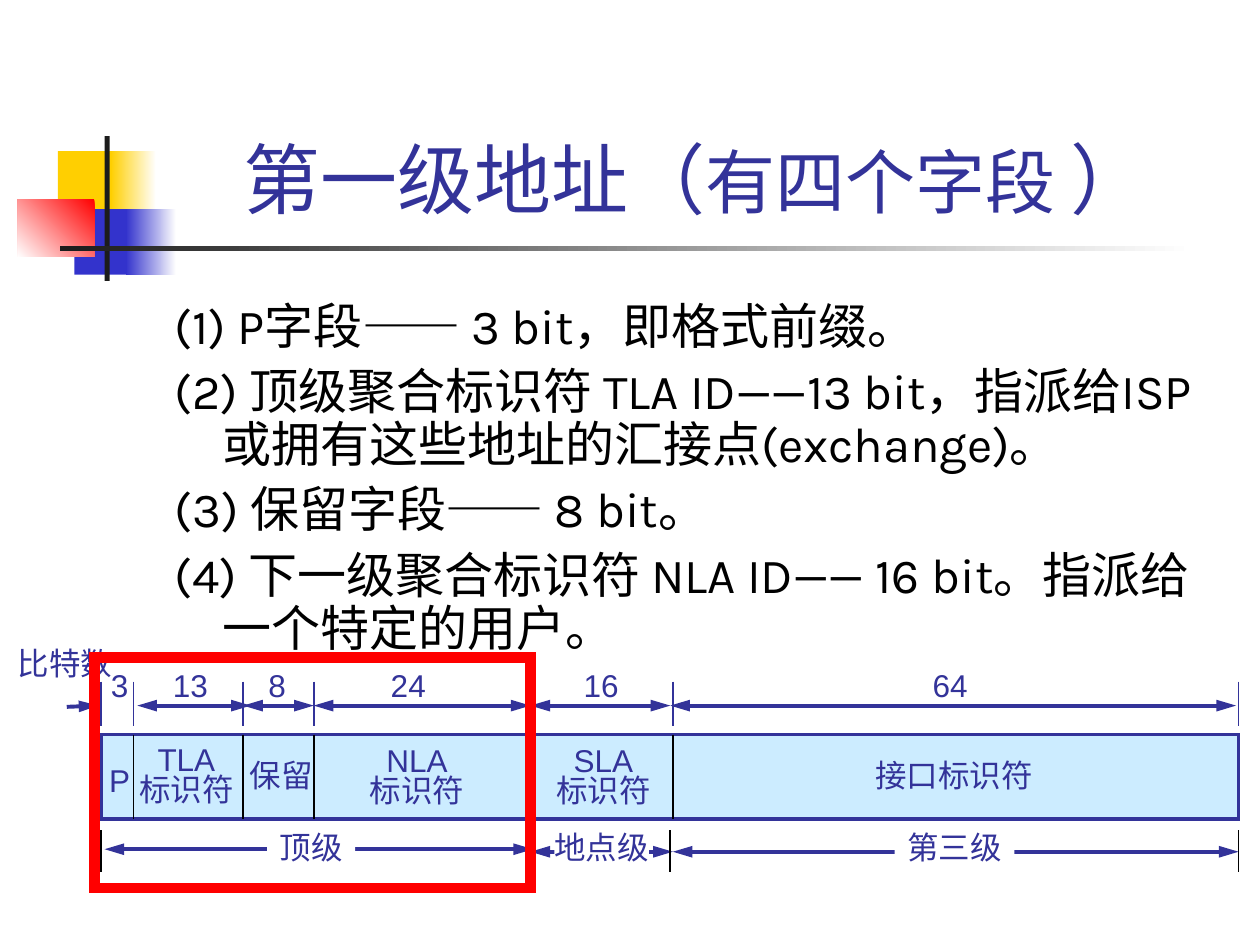
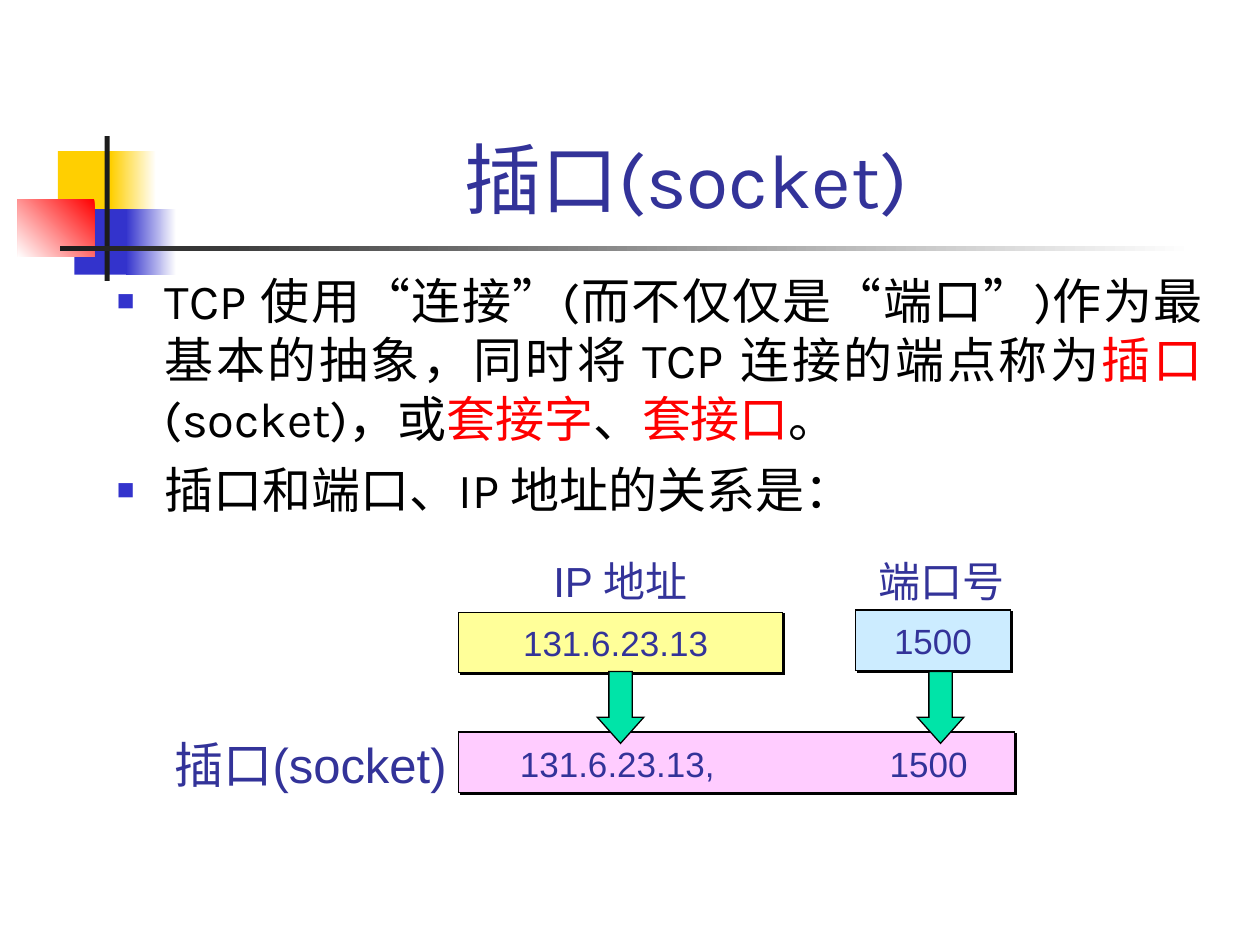
import pptx
import pptx.util
import pptx.dml.color
import pptx.enum.lang
import pptx.enum.shapes
import pptx.enum.text
import pptx.oxml
import pptx.oxml.ns
from lxml import etree

Inches, Pt = pptx.util.Inches, pptx.util.Pt
SHAPE = pptx.enum.shapes.MSO_SHAPE
ALIGN = pptx.enum.text.PP_ALIGN
ANCHOR = pptx.enum.text.MSO_ANCHOR
qn = pptx.oxml.ns.qn

INDIGO, BLUE, YELLOW, RED = "333399", "3333CC", "FFCF01", "FF0000"
BLACK, WHITE, CHARCOAL, SKY = "000000", "FFFFFF", "1C1C1C", "CCECFF"
HEADING_FONT, LABEL_FONT = "Karla", "Arial"

# Corner ornament: box, then one colour or (start colour, end colour, angle)
ORNAMENT = [
    ((0.46, 1.2, 0.48, 0.52), YELLOW),
    ((0.88, 1.2, 0.36, 0.52), (WHITE, YELLOW, 180)),
    ((0.59, 1.66, 0.46, 0.52), BLUE),
    ((1, 1.66, 0.4, 0.52), (WHITE, BLUE, 180)),
    ((0.14, 1.58, 0.61, 0.46), (RED, WHITE, 225)),
    ((0.83, 1.08, 0.04, 1.15), CHARCOAL),
    ((0.48, 1.95, 9, 0.04), (WHITE, CHARCOAL, 180)),
]
TITLE_BOX = (1.26, 0.23, 8.52, 1.6)

# A paragraph is a list of (text, colour, size) runs.
ADDRESS_TITLE = [("第一级地址（", INDIGO, 44), ("有四个字段 ", INDIGO, 40), ("）", INDIGO, 44)]
ADDRESS_POINTS = [
    "(1) P字段—— 3 bit，即格式前缀。",
    "(2) 顶级聚合标识符 TLA ID——13 bit，指派给ISP 或拥有这些地址的汇接点(exchange)。",
    "(3) 保留字段—— 8 bit。",
    "(4) 下一级聚合标识符 NLA ID—— 16 bit。指派给一个特定的用户。",
]
# bits, bits centre, name lines, name centre, name top
FIELDS = [
    ("3", 0.95, ["P"], 0.95, 5.99),
    ("13", 1.51, ["TLA", "标识符"], 1.48, 5.88),
    ("8", 2.2, ["保留"], 2.23, 5.95),
    ("24", 3.24, ["NLA", "标识符"], 3.31, 5.89),
    ("16", 4.77, ["SLA", "标识符"], 4.79, 5.89),
    ("64", 7.54, ["接口标识符"], 7.57, 5.95),
]
FIELD_EDGES = [0.8, 1.06, 1.93, 2.49, 4.21, 5.34, 9.83]
BIT_ARROWS = [(1.09, 1.99), (1.93, 2.49), (2.49, 4.21), (4.21, 5.32), (5.32, 9.81)]
# name, label left, label width, arrow start, arrow end, arrow height
LEVELS = [
    ("顶级", 2.12, 0.7, 0.83, 4.23, 6.74),
    ("地点级", 4.4, 0.75, 4.21, 5.34, 6.76),
    ("第三级", 7.1, 0.95, 5.34, 9.83, 6.76),
]
LEVEL_EDGES = [0.8, 4.19, 5.32, 9.83]

SOCKET_TITLE = [("插口(socket) ", INDIGO, 44)]
SOCKET_POINTS = [
    [("TCP 使用“连接”(而不仅仅是“端口”)作为最基本的抽象，同时将 TCP 连接的端点称为", BLACK, 28),
     ("插口", RED, 28), ("(socket)，或", BLACK, 28), ("套接字", RED, 28),
     ("、", BLACK, 28), ("套接口", RED, 28), ("。", BLACK, 28)],
    [("插口和端口、IP 地址的关系是：", BLACK, 28)],
]
SOCKET_BOXES = [
    ((3.64, 4.86, 2.57, 0.48), "FFFF99", "131.6.23.13 "),
    ((6.79, 4.84, 1.23, 0.48), SKY, "1500"),
    ((3.64, 5.81, 4.41, 0.48), "FFCCFF", ""),
]
# text, box, size
SOCKET_LABELS = [
    ("IP 地址", (4.25, 4.36, 1.35, 0.5), 24),
    ("端口号", (6.87, 4.36, 1.2, 0.5), 24),
    ("插口(socket)", (1.24, 5.78, 2.45, 0.57), 28),
    ("131.6.23.13,", (4, 5.84, 1.8, 0.43), 20),
    ("1500", (6.87, 5.84, 1, 0.43), 20),
]
ARROW_LEFTS = [4.74, 7.28]


def rgb(color):
    return pptx.dml.color.RGBColor.from_string(color)


def add_xml(parent, tag, **attributes):
    return etree.SubElement(parent, qn(tag), attributes)


def write(frame, paragraphs, font, align, wrap=True, anchor=ANCHOR.TOP):
    """Fill a text frame with paragraphs made of (text, colour, size) runs."""
    frame.word_wrap = wrap
    frame.vertical_anchor = anchor
    for index, runs in enumerate(paragraphs):
        paragraph = frame.add_paragraph() if index else frame.paragraphs[0]
        paragraph.alignment = align
        for text, color, size in runs:
            run = paragraph.add_run()
            run.text = text
            run.font.name = font
            run.font.size = Pt(size)
            run.font.color.rgb = rgb(color)
            run.font.language_id = pptx.enum.lang.MSO_LANGUAGE_ID.SIMPLIFIED_CHINESE


def add_text(slide, box, paragraphs, font, align, **layout):
    frame = slide.shapes.add_textbox(*map(Inches, box)).text_frame
    write(frame, paragraphs, font, align, **layout)
    return frame


def add_label(slide, box, lines, size=18):
    runs = [[(line, INDIGO, size)] for line in lines]
    return add_text(slide, box, runs, LABEL_FONT, ALIGN.CENTER, wrap=False)


def add_centered_label(slide, center, top, lines):
    """Place a label whose width follows its longest line."""
    width = 0.25 * max(map(len, lines)) + 0.25
    return add_label(slide, (center - width / 2, top, width, 0.4), lines)


def add_block(slide, box, fill=None, line=None, width=0.75, kind=SHAPE.RECTANGLE):
    block = slide.shapes.add_shape(kind, *map(Inches, box))
    block.shadow.inherit = False
    if fill is None:
        block.fill.background()
    elif isinstance(fill, str):
        block.fill.solid()
        block.fill.fore_color.rgb = rgb(fill)
    else:
        start, end, angle = fill
        block.fill.gradient()
        block.fill.gradient_angle = angle
        for stop, color in zip(block.fill.gradient_stops, (start, end)):
            stop.color.rgb = rgb(color)
    if line:
        block.line.color.rgb = rgb(line)
        block.line.width = Pt(width)
        add_xml(block._element.spPr.find(qn("a:ln")), "a:miter", lim="800000")
    else:
        block.line.fill.background()
    return block


def add_line(slide, start, end, color, width=1, heads=()):
    """Draw a straight line; heads lists the ends that carry an arrowhead."""
    line = slide.shapes.add_connector(
        pptx.enum.shapes.MSO_CONNECTOR.STRAIGHT, *map(Inches, start + end))
    line.line.color.rgb = rgb(color)
    line.line.width = Pt(width)
    properties = line._element.spPr
    for head in heads:
        add_xml(properties.find(qn("a:ln")), head, type="triangle", w="med", len="lg")
    add_xml(properties, "a:effectLst")


def add_arrow(slide, start, end, heads=("a:headEnd", "a:tailEnd")):
    add_line(slide, start, end, INDIGO, 2.25, heads)


def add_ticks(slide, edges, top, bottom, color):
    for edge in edges:
        add_line(slide, (edge, top), (edge, bottom), color)


def format_points(frame, line_spacing=None, bullet=False):
    for paragraph in frame.paragraphs:
        paragraph.space_before = Pt(7)
        if line_spacing:
            paragraph.line_spacing = line_spacing
        properties = paragraph._p.get_or_add_pPr()
        properties.set("marL", str(Inches(0.38)))
        properties.set("indent", str(-Inches(0.38)))
        if bullet:
            add_xml(add_xml(properties, "a:buClr"), "a:srgbClr", val=BLUE)
            add_xml(properties, "a:buSzPct", val="60000")
            add_xml(properties, "a:buFont", typeface=LABEL_FONT)
            add_xml(properties, "a:buChar", char="■")


def add_base_slide(deck, title):
    slide = deck.slides.add_slide(deck.slide_layouts[6])
    for box, fill in ORNAMENT:
        add_block(slide, box, fill)
    add_text(slide, TITLE_BOX, [title], HEADING_FONT, ALIGN.CENTER, anchor=ANCHOR.BOTTOM)
    return slide


def build_address_slide(deck):
    slide = add_base_slide(deck, ADDRESS_TITLE)
    points = add_text(slide, (1.29, 2.35, 8.5, 3),
                      [[(point, BLACK, 28)] for point in ADDRESS_POINTS],
                      HEADING_FONT, ALIGN.LEFT)
    format_points(points, line_spacing=0.9)

    left, right = FIELD_EDGES[0], FIELD_EDGES[-1]
    add_block(slide, (left, 5.83, right - left, 0.67), SKY, INDIGO, 2)
    for bits, bits_center, name, name_center, top in FIELDS:
        add_centered_label(slide, bits_center, 5.24, [bits])
        label = add_centered_label(slide, name_center, top, name)
        if len(name) > 1:
            for paragraph in label.paragraphs:
                paragraph.line_spacing = 0.8
    add_ticks(slide, FIELD_EDGES[1:-1], 5.83, 6.5, BLACK)
    add_ticks(slide, FIELD_EDGES, 5.41, 5.76, INDIGO)

    for name, label_left, label_width, start, end, height in LEVELS:
        add_arrow(slide, (start, height), (end, height))
        label = add_block(slide, (label_left, 6.52, label_width, 0.4), WHITE)
        write(label.text_frame, [[(name, INDIGO, 18)]], LABEL_FONT, ALIGN.CENTER, wrap=False)
    add_ticks(slide, LEVEL_EDGES, 6.59, 6.92, BLACK)

    add_label(slide, (0.04, 5.06, 0.95, 0.4), ["比特数"])
    for start, end in BIT_ARROWS:
        add_arrow(slide, (start, 5.6), (end, 5.6))
    add_arrow(slide, (0.53, 5.61), (0.78, 5.6), heads=("a:tailEnd",))
    add_block(slide, (0.75, 5.22, 3.46, 1.83), line=RED, width=6)


def build_socket_slide(deck):
    slide = add_base_slide(deck, SOCKET_TITLE)
    points = add_text(slide, (0.83, 2.1, 8.81, 5.2), SOCKET_POINTS,
                      HEADING_FONT, ALIGN.JUSTIFY)
    format_points(points, bullet=True)

    for box, fill, value in SOCKET_BOXES:
        block = add_block(slide, box, fill, BLACK)
        effects = block._element.spPr.find(qn("a:effectLst"))
        shadow = add_xml(effects, "a:outerShdw", dist=str(Pt(1.4)), dir="2700000")
        add_xml(shadow, "a:srgbClr", val=BLACK)
        if value:
            write(block.text_frame, [[(value, INDIGO, 20)]], LABEL_FONT,
                  ALIGN.CENTER, wrap=False, anchor=ANCHOR.MIDDLE)
    for text, box, size in SOCKET_LABELS:
        add_label(slide, box, [text], size)
    for left in ARROW_LEFTS:
        arrow = add_block(slide, (left, 5.33, 0.37, 0.57), "00E4A8", BLACK,
                          kind=SHAPE.DOWN_ARROW)
        arrow.adjustments[0] = 0.5
        arrow.adjustments[1] = 0.56


def main():
    deck = pptx.Presentation()
    deck.slide_width, deck.slide_height = Inches(10), Inches(7.5)
    build_address_slide(deck)
    build_socket_slide(deck)
    deck.save("out.pptx")


if __name__ == "__main__":
    main()
